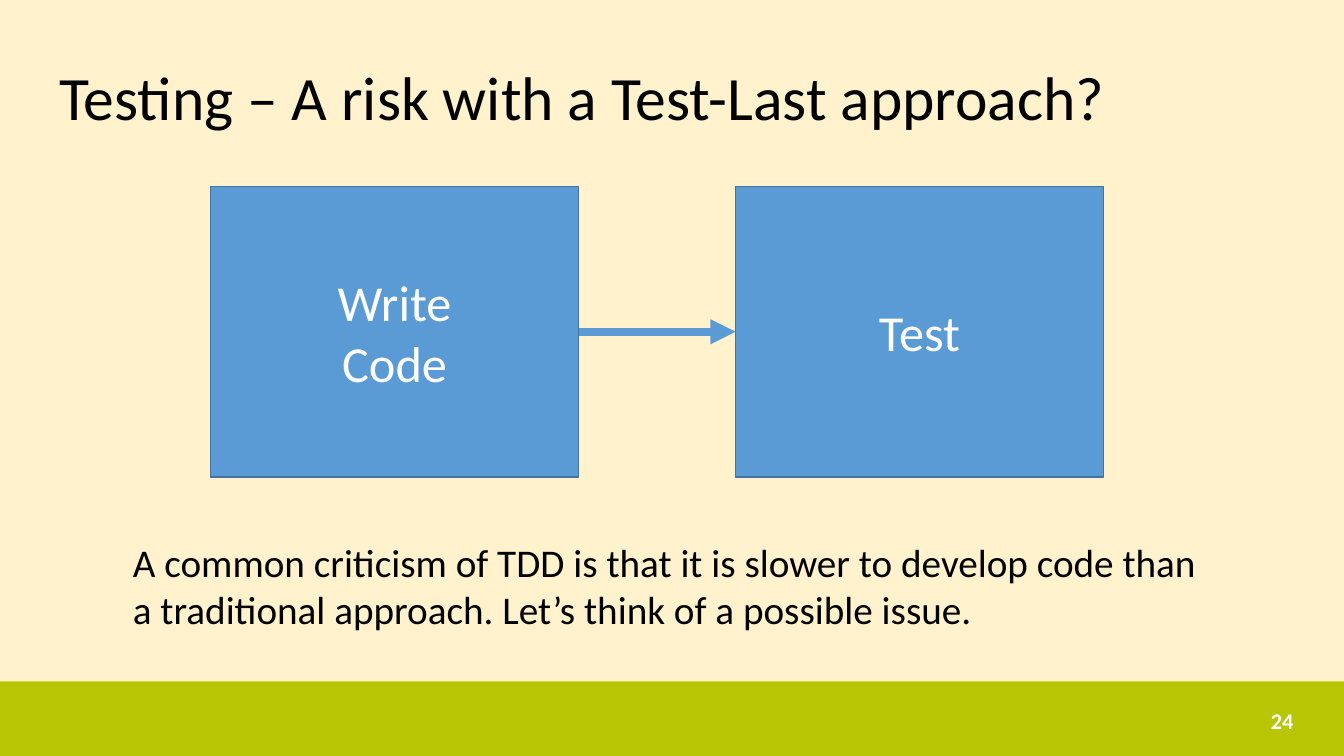
import pptx
import pptx.dml.color
import pptx.enum.shapes
import pptx.enum.text
import pptx.oxml.ns
import pptx.util
from lxml import etree

Cm = pptx.util.Cm
Pt = pptx.util.Pt
RGBColor = pptx.dml.color.RGBColor
PP_ALIGN = pptx.enum.text.PP_ALIGN
MSO_ANCHOR = pptx.enum.text.MSO_ANCHOR
MSO_SHAPE = pptx.enum.shapes.MSO_SHAPE
qn = pptx.oxml.ns.qn

CREAM = RGBColor(0xFF, 0xF2, 0xCC)
LIME = RGBColor(0xB8, 0xC6, 0x05)
BLUE = RGBColor(0x5B, 0x9B, 0xD5)
DARK_BLUE = RGBColor(0x43, 0x73, 0x9E)
BLACK = RGBColor(0, 0, 0)
WHITE = RGBColor(0xFF, 0xFF, 0xFF)

STEP_WIDTH, STEP_HEIGHT = Cm(9.27), Cm(7.32)
STEP_LEFT, STEP_TOP, STEP_GAP = Cm(5.31), Cm(4.7), Cm(3.96)


def write_text(shape, text, size, color, align=PP_ALIGN.LEFT, anchor=MSO_ANCHOR.MIDDLE, bold=False):
    frame = shape.text_frame
    frame.word_wrap = True
    frame.vertical_anchor = anchor
    frame.text = text
    for para in frame.paragraphs:
        para.alignment = align
        for span in para.runs:
            span.font.name = "Calibri"
            span.font.size = Pt(size)
            span.font.bold = bold
            span.font.color.rgb = color


def add_rectangle(left, top, width, height, color):
    rectangle = slide.shapes.add_shape(MSO_SHAPE.RECTANGLE, left, top, width, height)
    rectangle.shadow.inherit = False
    rectangle.fill.solid()
    rectangle.fill.fore_color.rgb = color
    rectangle.line.fill.background()
    return rectangle


deck = pptx.Presentation()
deck.slide_width, deck.slide_height = Cm(33.87), Cm(19.05)
slide = deck.slides.add_slide(deck.slide_layouts.get_by_name("Title Only"))
slide.background.fill.solid()
slide.background.fill.fore_color.rgb = CREAM

# Title and footer band
title = slide.shapes.title
title.left, title.top, title.width, title.height = Cm(1.24), Cm(0.69), Cm(31.57), Cm(3.68)
write_text(title, "Testing – A risk with a Test-Last approach?", 44, BLACK)
title.text_frame.paragraphs[0].line_spacing = 0.9

add_rectangle(0, Cm(17.17), deck.slide_width, Cm(1.88), LIME)
page_number = slide.shapes.add_textbox(Cm(23.93), Cm(17.65), Cm(8.92), Cm(1.02))
write_text(page_number, "24", 16, WHITE, PP_ALIGN.RIGHT, bold=True)

# The two steps, joined by an arrow
steps = []
for index, label in enumerate(["Write\nCode", "Test"]):
    left = STEP_LEFT + index * (STEP_WIDTH + STEP_GAP)
    step = add_rectangle(left, STEP_TOP, STEP_WIDTH, STEP_HEIGHT, BLUE)
    step.line.color.rgb = DARK_BLUE
    step.line.width = Pt(1)
    write_text(step, label, 36, WHITE, PP_ALIGN.CENTER)
    steps.append(step)

arrow = slide.shapes.add_connector(pptx.enum.shapes.MSO_CONNECTOR.STRAIGHT, 0, 0, 0, 0)
arrow.begin_connect(steps[0], 3)
arrow.end_connect(steps[1], 1)
arrow.line.color.rgb = BLUE
arrow.line.width = Pt(6)
etree.SubElement(arrow.line._get_or_add_ln(), qn("a:tailEnd"), type="triangle")
etree.SubElement(arrow._element.spPr, qn("a:effectLst"))

# Comment below the steps
comment = slide.shapes.add_textbox(Cm(3.1), Cm(13.44), Cm(27.64), Cm(2.64))
write_text(
    comment,
    "A common criticism of TDD is that it is slower to develop code than "
    "a traditional approach. Let’s think of a possible issue.",
    28, BLACK, anchor=MSO_ANCHOR.TOP,
)

deck.save("out.pptx")
